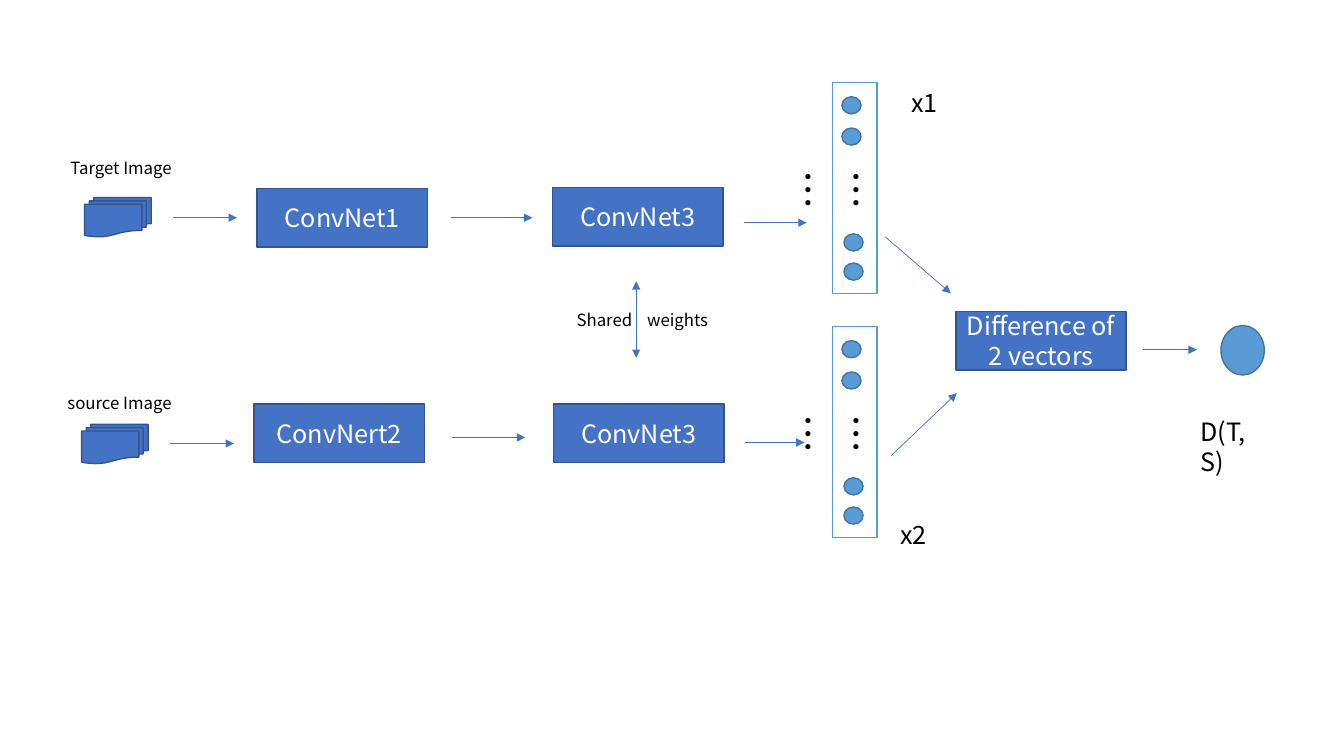
"""Build the slide of a two-branch network that compares a target and a source image."""
from lxml import etree
from pptx import Presentation
from pptx.dml.color import RGBColor
from pptx.enum import shapes, text
from pptx.oxml import ns
from pptx.util import Inches, Pt

FONT = "Noto Sans CJK SC"
BLUE = RGBColor(0x44, 0x72, 0xC4)
BLUE_EDGE = RGBColor(0x32, 0x54, 0x91)
SKY = RGBColor(0x5B, 0x9B, 0xD5)
SKY_EDGE = RGBColor(0x43, 0x73, 0x9E)
WHITE = RGBColor(0xFF, 0xFF, 0xFF)
BLACK = RGBColor(0, 0, 0)
RECT = shapes.MSO_SHAPE.RECTANGLE
NODE = shapes.MSO_SHAPE.FLOWCHART_CONNECTOR
IMAGES = shapes.MSO_SHAPE.FLOWCHART_MULTIDOCUMENT

deck = Presentation()
deck.slide_width, deck.slide_height = Inches(13.33), Inches(7.5)
slide = deck.slides.add_slide(deck.slide_layouts[6])


def write(words, box, size=18, color=BLACK, holder=None, vertical=False, tab=None):
    holder = holder or slide.shapes.add_textbox(*map(Inches, box))
    frame = holder.text_frame
    frame.word_wrap = True
    paragraph = frame.paragraphs[0]
    run = paragraph.add_run()
    run.text = words
    run.font.size, run.font.name = Pt(size), FONT
    run.font.color.rgb = color
    etree.SubElement(run.font._element, ns.qn("a:ea"), typeface=FONT)
    if color == WHITE:
        paragraph.alignment = text.PP_ALIGN.CENTER
        frame.vertical_anchor = text.MSO_ANCHOR.MIDDLE
    else:
        frame.auto_size = text.MSO_AUTO_SIZE.SHAPE_TO_FIT_TEXT
    if vertical:
        frame._txBody.bodyPr.set("vert", "eaVert")
    if tab:
        stops = etree.SubElement(paragraph._p.get_or_add_pPr(), ns.qn("a:tabLst"))
        etree.SubElement(stops, ns.qn("a:tab"), pos=str(Inches(tab)), algn="l")


def draw(kind, box, fill, edge):
    part = slide.shapes.add_shape(kind, *map(Inches, box))
    part.shadow.inherit = False
    part.fill.solid()
    part.fill.fore_color.rgb = fill
    part.line.color.rgb = edge
    part.line.width = Pt(1)
    return part


for left, top, name in [
    (2.55, 1.87, "ConvNet1"),
    (5.48, 1.86, "ConvNet3"),
    (2.52, 4.01, "ConvNert2"),
    (5.49, 4.01, "ConvNet3"),
    (9.48, 3.09, "Difference of 2 vectors"),
]:
    box = (left, top, 1.69, 0.58)
    write(name, box, color=WHITE, holder=draw(RECT, box, BLUE, BLUE_EDGE))

for left, top, label, label_left, label_top in [
    (0.84, 1.96, "Target Image", 0.6, 1.52),
    (0.81, 4.21, "source Image", 0.57, 3.85),
]:
    draw(IMAGES, (left, top, 0.66, 0.39), BLUE, BLUE_EDGE)
    write(label, (label_left, label_top, 1.31, 0.3), size=12)

for vector_top in (0.82, 3.24):
    draw(RECT, (8.26, vector_top, 0.44, 2.09), WHITE, SKY)
    for left, drop in [(8.35, 0.14), (8.35, 0.45), (8.37, 1.5), (8.37, 1.79)]:
        draw(NODE, (left, vector_top + drop, 0.19, 0.17), SKY, SKY_EDGE)
    write("……", (8.11, vector_top + 0.77, 0.67, 0.91), size=28, vertical=True)

draw(NODE, (12.11, 3.23, 0.43, 0.49), SKY, SKY_EDGE)
write("D(T, S)", (11.81, 4.08, 0.87, 0.4))
write("x1", (8.94, 0.82, 0.54, 0.4))
write("x2", (8.83, 5.1, 0.54, 0.4))
write("Shared\tweights", (5.62, 3.02, 1.91, 0.3), size=12, tab=0.7)

shared_weights = (6.31, 2.79, 6.31, 3.55)
for ends in [
    (1.72, 2.16, 2.35, 2.16),
    (4.47, 2.16, 5.28, 2.16),
    (7.38, 2.21, 8, 2.21),
    (1.69, 4.4, 2.32, 4.4),
    (4.48, 4.34, 5.21, 4.34),
    (7.39, 4.39, 7.98, 4.39),
    (8.78, 2.35, 9.43, 2.91),
    (8.84, 4.52, 9.49, 3.9),
    (11.34, 3.47, 11.87, 3.47),
    shared_weights,
]:
    arrow = slide.shapes.add_connector(shapes.MSO_CONNECTOR.STRAIGHT, *map(Inches, ends))
    arrow.line.color.rgb = BLUE
    arrow.line.width = Pt(0.5)
    stroke = arrow.line._get_or_add_ln()
    for tip in ("a:headEnd", "a:tailEnd") if ends == shared_weights else ("a:tailEnd",):
        etree.SubElement(stroke, ns.qn(tip), type="triangle")
    etree.SubElement(arrow._element.spPr, ns.qn("a:effectLst"))

deck.save("out.pptx")
